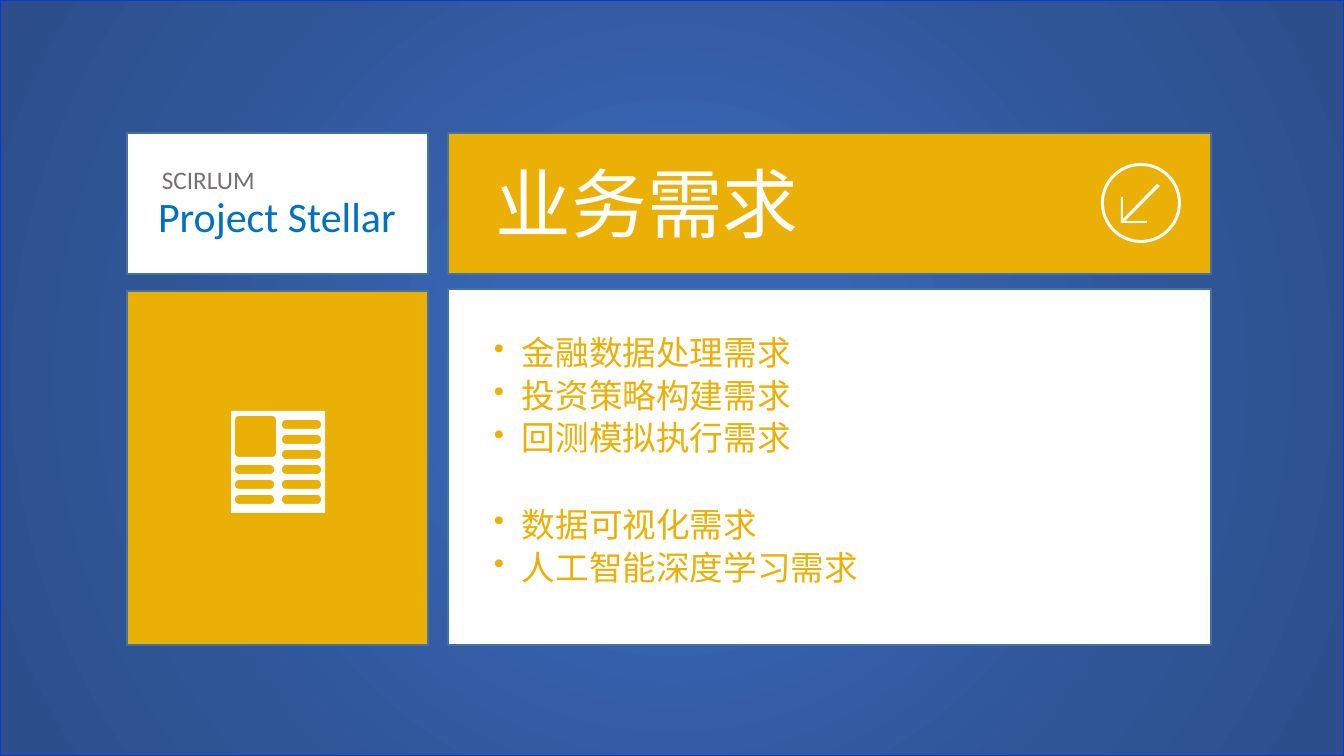
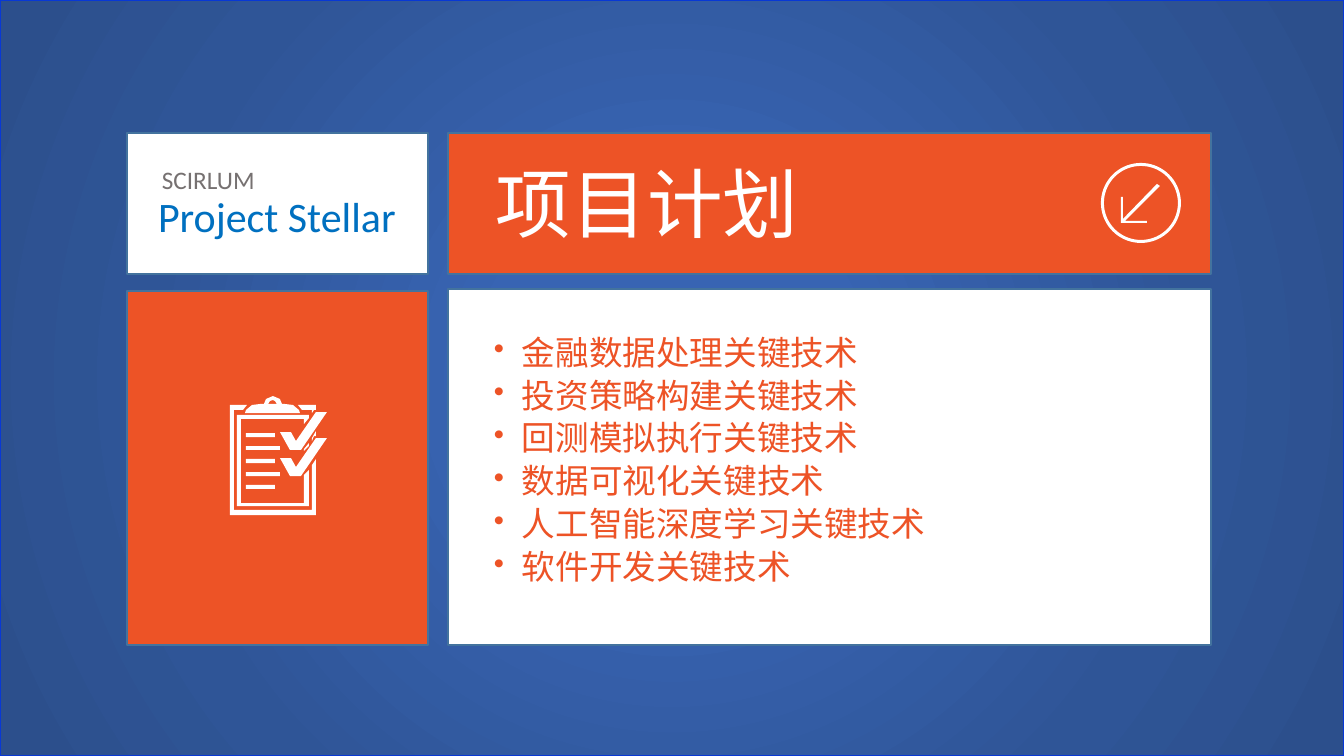
from dataclasses import dataclass
from math import cos, pi, sin

from lxml.etree import SubElement
from pptx import Presentation
from pptx.dml.color import RGBColor as RGB
from pptx.enum.shapes import MSO_SHAPE as SHAPE
from pptx.enum.text import PP_ALIGN as ALIGN
from pptx.oxml import parse_xml
from pptx.oxml.ns import nsdecls, qn
from pptx.util import Pt

PX = 914400 / 100.8


@dataclass(frozen=True)
class Theme:
    white: str = "FFFFFF"
    amber: str = "EAB005"
    orange: str = "ED5326"
    panel_edge: str = "43739E"
    slide_edge: str = "0838D5"
    company: str = "767171"
    project: str = "0070C0"
    glow: tuple = ((0, "3864B3"), (23, "3864B3"), (69, "2F5597"), (97, "2C4F8C"))
    title_font: str = "Arial"
    brand_font: str = "Calibri"
    title_size: int = 54
    project_size: int = 30
    topic_size: int = 24
    company_size: int = 18
    group_gap: int = 36


THEME = Theme()
SLIDE = (0, 0, 1344, 756)
BRAND = (127, 133, 301, 141)
BANNER = (448, 133, 763, 141)
TILE = (127, 291, 301, 354)
BODY = (448, 289, 763, 356)


def emu(pixels):
    return round(pixels * PX)


def inside(box, left, top, width, height):
    return box[0] + left, box[1] + top, width, height


def panel(slide, box, color, edge=THEME.panel_edge):
    shape = slide.shapes.add_shape(SHAPE.RECTANGLE, *map(emu, box))
    shape.shadow.inherit = False
    shape.fill.solid()
    shape.fill.fore_color.rgb = RGB.from_string(color)
    shape.line.color.rgb = RGB.from_string(edge)
    shape.line.width = Pt(1)
    return shape


def text_frame(slide, box):
    frame = slide.shapes.add_textbox(*map(emu, box)).text_frame
    frame.word_wrap = True
    return frame


def style(paragraph, font_name, size, color):
    font = paragraph.font
    font.name, font.size = font_name, Pt(size)
    font.color.rgb = RGB.from_string(color)


def label(slide, box, words, font_name, size, color, align=ALIGN.LEFT):
    paragraph = text_frame(slide, box).paragraphs[0]
    paragraph.text = words
    paragraph.alignment = align
    style(paragraph, font_name, size, color)


def arc(x, y, radius, start=0, sweep=360, steps=72):
    angles = [(start + sweep * i / steps) * pi / 180 for i in range(steps + 1)]
    return [(x + radius * cos(a), y + radius * sin(a)) for a in angles]


def block(left, top, width, height, radius=0):
    right, bottom = left + width, top + height
    if not radius:
        return [(left, top), (right, top), (right, bottom), (left, bottom)]
    corners = (
        (left + radius, top + radius, 180),
        (right - radius, top + radius, 270),
        (right - radius, bottom - radius, 0),
        (left + radius, bottom - radius, 90),
    )
    return [p for x, y, start in corners for p in arc(x, y, radius, start, 90, 6)]


def arrow_badge():
    arrow = [(46, 58), (46, 60), (20, 60), (20, 34), (22, 34),
             (22, 56), (56, 21), (59, 23), (24, 58)]
    return [arc(40, 40, 40), arc(40, 40, 37), arrow]


def newspaper():
    rows = [9 + 15 * i for i in range(6)]
    columns = ((4, rows[3:]), (51, rows))
    bars = [block(x, y, 39, 9, 4) for x, tops in columns for y in tops]
    return [block(0, 0, 94, 102), block(4, 5, 41, 41, 4), *bars]


def clipboard():
    board = [(82, 114), (4, 114), (4, 14), (13, 14), (17, 9), (0, 9),
             (0, 119), (86, 119), (86, 63), (82, 69)]
    sheet = [(74, 107), (11, 107), (11, 23), (74, 23), (74, 28), (79, 22),
             (79, 19), (7, 19), (7, 110), (79, 110), (79, 74), (74, 79)]
    corner = [(84, 14), (86, 14), (86, 9), (68, 9), (72, 14), (82, 14), (82, 17)]
    board_gap = [(82, 45), (84, 40), (86, 40), (86, 35), (82, 42)]
    sheet_gap = [(79, 47), (74, 53), (74, 55), (79, 50)]
    clip = [(15, 17), (16, 14), (22, 9), (30, 8), (34, 8), (36, 3), (43, 0),
            (50, 3), (52, 8), (55, 8), (63, 9), (69, 14), (70, 17)]
    clip_hole = [(38, 8), (40, 5), (43, 4), (45, 5), (47, 8)]
    tick = [(97, 16), (71, 54), (60, 54), (50, 36), (61, 36), (66, 45), (86, 16)]
    ticks = [[(x, y + drop) for x, y in tick] for drop in (0, 26)]
    lines = [block(16, 37 + 13 * i, 34 if i % 2 else 29, 4) for i in range(5)]
    return [board, sheet, corner, board_gap, sheet_gap, clip, clip_hole, *lines, *ticks]


def icon(slide, box, left, top, contours):
    builder = None
    for contour in contours:
        start, *others = [
            (emu(box[0] + left + x), emu(box[1] + top + y)) for x, y in contour
        ]
        if builder is None:
            builder = slide.shapes.build_freeform(*start)
        else:
            builder.move_to(*start)
        builder.add_line_segments(others, close=True)
    shape = builder.convert_to_shape()
    shape.shadow.inherit = False
    shape.fill.solid()
    shape.fill.fore_color.rgb = RGB.from_string(THEME.white)
    shape.line.fill.background()


def backdrop(slide, box):
    properties = panel(slide, box, THEME.white, THEME.slide_edge).element.spPr
    stops = "".join(
        f'<a:gs pos="{at * 1000}"><a:srgbClr val="{color}"/></a:gs>'
        for at, color in THEME.glow
    )
    glow = parse_xml(
        f'<a:gradFill {nsdecls("a")} rotWithShape="1"><a:gsLst>{stops}</a:gsLst>'
        '<a:path path="circle"><a:fillToRect l="50000" t="50000" r="50000" b="50000"/>'
        "</a:path></a:gradFill>"
    )
    properties.replace(properties.find(qn("a:solidFill")), glow)


def banner(slide, box, title, accent):
    panel(slide, box, accent)
    icon(slide, box, 653, 30, arrow_badge())
    label(slide, inside(box, 38, 19, 469, 102), title,
          THEME.title_font, THEME.title_size, THEME.white)


def brand(slide, box):
    panel(slide, box, THEME.white)
    label(slide, inside(box, 11, 53, 278, 61), "Project Stellar",
          THEME.brand_font, THEME.project_size, THEME.project, ALIGN.CENTER)
    label(slide, inside(box, 25, 26, 148, 40), "SCIRLUM",
          THEME.brand_font, THEME.company_size, THEME.company)


def bullet(paragraph, opens_group):
    paragraph.line_spacing = 0.9
    properties = paragraph._p.get_or_add_pPr()
    properties.set("marL", str(emu(28)))
    properties.set("indent", str(emu(-28)))
    if opens_group:
        paragraph.space_before = Pt(THEME.group_gap)
    else:
        before = SubElement(properties, qn("a:spcBef"))
        SubElement(before, qn("a:spcPct")).set("val", "20000")
    SubElement(properties, qn("a:buSzPct")).set("val", "90000")
    SubElement(properties, qn("a:buChar")).set("char", "•")


def topic_list(slide, box, groups, accent):
    panel(slide, box, THEME.white)
    frame = text_frame(slide, inside(box, 39, 40, 744, 276))
    frame.margin_left = frame.margin_right = emu(7)
    frame.margin_top = frame.margin_bottom = emu(7)
    paragraph = None
    for group_index, group in enumerate(groups):
        for topic_index, topic in enumerate(group):
            paragraph = frame.add_paragraph() if paragraph else frame.paragraphs[0]
            paragraph.text = topic
            bullet(paragraph, group_index > 0 and topic_index == 0)
            style(paragraph, THEME.title_font, THEME.topic_size, accent)


def section_slide(deck, title, accent, groups, emblem, emblem_at):
    slide = deck.slides.add_slide(deck.slide_layouts[6])
    backdrop(slide, SLIDE)
    banner(slide, BANNER, title, accent)
    brand(slide, BRAND)
    panel(slide, TILE, accent)
    icon(slide, TILE, *emblem_at, emblem)
    topic_list(slide, BODY, groups, accent)


deck = Presentation()
deck.slide_width, deck.slide_height = emu(SLIDE[2]), emu(SLIDE[3])
section_slide(
    deck, "业务需求", THEME.amber,
    [["金融数据处理需求", "投资策略构建需求", "回测模拟执行需求"],
     ["数据可视化需求", "人工智能深度学习需求"]],
    newspaper(), (104, 120),
)
section_slide(
    deck, "项目计划", THEME.orange,
    [["金融数据处理关键技术", "投资策略构建关键技术", "回测模拟执行关键技术",
      "数据可视化关键技术", "人工智能深度学习关键技术", "软件开发关键技术"]],
    clipboard(), (103, 105),
)
deck.save("out.pptx")
